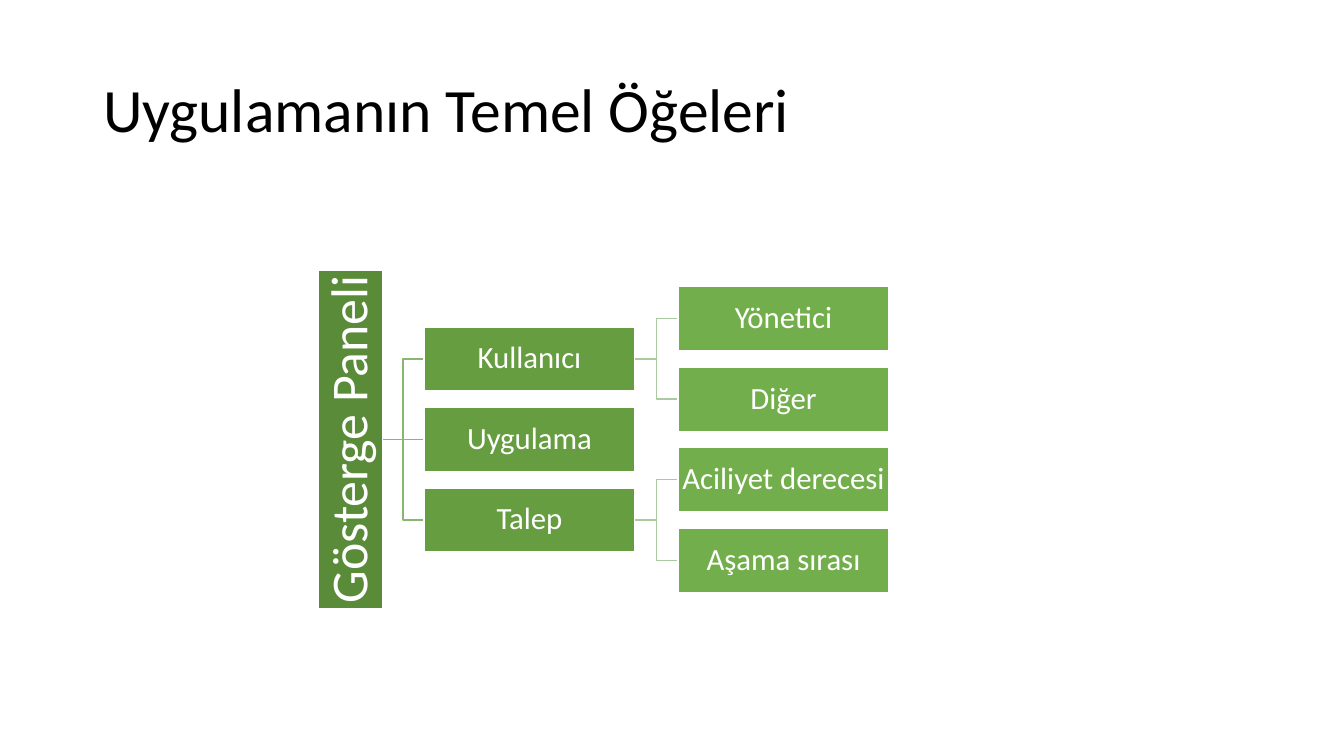
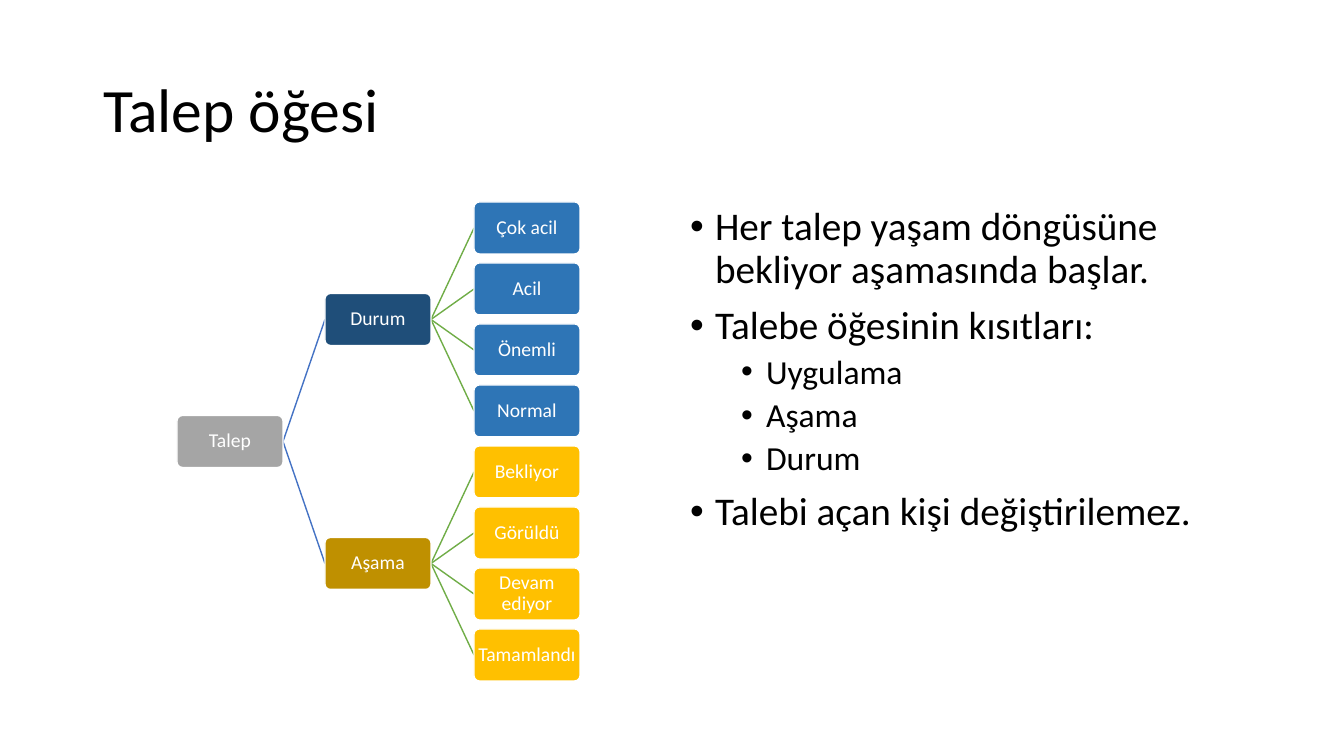
from pptx import Presentation
from pptx.dml.color import RGBColor as RGB
from pptx.enum.shapes import MSO_SHAPE as Form, MSO_CONNECTOR as Wire
from pptx.enum.text import PP_ALIGN as Align, MSO_ANCHOR as Anchor, MSO_AUTO_SIZE as Fit
from pptx.oxml.ns import qn
from pptx.util import Pt
from lxml import etree

PX = 914400 / 100.8
FONT = "Calibri"
BLACK, WHITE = RGB(0, 0, 0), RGB(0xFF, 0xFF, 0xFF)
PINE, LEAF, LIME = RGB(0x5A, 0x8B, 0x39), RGB(0x66, 0x9D, 0x40), RGB(0x73, 0xAE, 0x4C)
MOSS, MINT = RGB(0x88, 0xB7, 0x6F), RGB(0xAC, 0xCA, 0x9F)
GRAY, NAVY, BLUE = RGB(0xA5, 0xA5, 0xA5), RGB(0x1F, 0x4E, 0x79), RGB(0x2E, 0x75, 0xB6)
OCHRE, GOLD = RGB(0xBF, 0x90, 0x00), RGB(0xFF, 0xC0, 0x00)
INDIGO, GRASS = RGB(0x44, 0x72, 0xC4), RGB(0x70, 0xAD, 0x47)


def box(slide, form, x, mid, w, h, fill, text, size, pad):
    """Add a filled node centred on the height mid."""
    node = slide.shapes.add_shape(form, *[round(v * PX) for v in (x, mid - h / 2, w, h)])
    node.shadow.inherit = False
    node.fill.solid()
    node.fill.fore_color.rgb = fill
    node.line.color.rgb = WHITE
    node.line.width = Pt(1)
    frame = node.text_frame
    frame.word_wrap = True
    frame.vertical_anchor = Anchor.MIDDLE
    frame.margin_left = frame.margin_right = round(pad * PX)
    frame.margin_top = frame.margin_bottom = round(pad * PX)
    para = frame.paragraphs[0]
    para.alignment = Align.CENTER
    para.line_spacing = 0.9
    run = para.add_run()
    run.text = text
    run.font.name, run.font.size = FONT, Pt(size)
    run.font.color.rgb = WHITE
    return node


def link(slide, wire, x1, y1, x2, y2, color):
    """Join two nodes with a thin line."""
    line = slide.shapes.add_connector(wire, *[round(v * PX) for v in (x1, y1, x2, y2)])
    line.line.color.rgb = color
    line.line.width = Pt(1)
    etree.SubElement(line._element.spPr, qn("a:effectLst"))


deck = Presentation()
deck.slide_width, deck.slide_height = round(1344 * PX), round(756 * PX)

# Slides and their shared title style
panel = deck.slides.add_slide(deck.slide_layouts[5])
ticket = deck.slides.add_slide(deck.slide_layouts[1])
for slide, text in ((panel, "Uygulamanın Temel Öğeleri"), (ticket, "Talep öğesi")):
    title = slide.shapes.title
    title.left, title.top, title.width, title.height = [round(v * PX) for v in (93, 40, 1159, 146)]
    frame = title.text_frame
    frame.auto_size = Fit.NONE
    frame.vertical_anchor = Anchor.MIDDLE
    para = frame.paragraphs[0]
    para.alignment = Align.LEFT
    para.line_spacing = 0.9
    run = para.add_run()
    run.text = text
    run.font.name, run.font.size = FONT, Pt(44)
    run.font.color.rgb = BLACK

# Panel tree: rows are counted in half steps from the middle
MID, STEP, WIDE, HIGH = 439.5, 40.25, 211, 64
ROOT, COL, END = 382, 424, 678
tree = [
    ("Kullanıcı", -2, [("Yönetici", -3), ("Diğer", -1)]),
    ("Uygulama", 0, []),
    ("Talep", 2, [("Aciliyet derecesi", 1), ("Aşama sırası", 3)]),
]
for name, row, kids in tree:
    y = MID + row * STEP
    link(panel, Wire.ELBOW if row else Wire.STRAIGHT, ROOT, MID, COL, y, MOSS)
    box(panel, Form.RECTANGLE, COL, y, WIDE, HIGH, LEAF, name, 22, 2)
    for kid, spot in kids:
        low = MID + spot * STEP
        link(panel, Wire.ELBOW, COL + WIDE, y, END, low, MINT)
        box(panel, Form.RECTANGLE, END, low, WIDE, HIGH, LIME, kid, 22, 2)
root = box(panel, Form.RECTANGLE, 181, MID, 339, HIGH, PINE, "Gösterge Paneli", 37, 3)
root.rotation = 270

# Ticket tree: each parent sits at the middle of its children
TOP, GAP, WIDE, HIGH = 228, 61, 106, 52
ROOT, COL, END = 177, 325, 474
groups = [
    ("Durum", NAVY, BLUE, ["Çok acil", "Acil", "Önemli", "Normal"]),
    ("Aşama", OCHRE, GOLD, ["Bekliyor", "Görüldü", "Devam ediyor", "Tamamlandı"]),
]
mid = TOP + 3.5 * GAP
nodes = [(ROOT, mid, GRAY, "Talep")]
for i, (name, dark, tint, kids) in enumerate(groups):
    first = TOP + i * 4 * GAP
    y = first + 1.5 * GAP
    link(ticket, Wire.STRAIGHT, ROOT + WIDE, mid, COL, y, INDIGO)
    nodes.append((COL, y, dark, name))
    for j, kid in enumerate(kids):
        low = first + j * GAP
        link(ticket, Wire.STRAIGHT, COL + WIDE, y, END, low, GRASS)
        nodes.append((END, low, tint, kid))
for x, y, fill, name in nodes:
    node = box(ticket, Form.ROUNDED_RECTANGLE, x, y, WIDE, HIGH, fill, name, 14, 1)
    node.adjustments[0] = 0.1

# Ticket list
body = ticket.placeholders[1]
body.left, body.top, body.width, body.height = [round(v * PX) for v in (680, 202, 572, 480)]
frame = body.text_frame
frame.auto_size = Fit.NONE
items = [
    (0, "Her talep yaşam döngüsüne bekliyor aşamasında başlar."),
    (0, "Talebe öğesinin kısıtları:"),
    (1, "Uygulama"),
    (1, "Aşama"),
    (1, "Durum"),
    (0, "Talebi açan kişi değiştirilemez."),
]
for i, (level, text) in enumerate(items):
    para = frame.add_paragraph() if i else frame.paragraphs[0]
    para.level = level
    para.line_spacing = 0.9
    para.space_before = Pt(5 if level else 10)
    props = para._p.get_or_add_pPr()
    props.set("marL", str(round((76 if level else 25) * PX)))
    props.set("indent", str(round(-25 * PX)))
    etree.SubElement(props, qn("a:buFont")).set("typeface", "Arial")
    etree.SubElement(props, qn("a:buChar")).set("char", "•")
    run = para.add_run()
    run.text = text
    run.font.name, run.font.size = FONT, Pt(24 if level else 28)
    run.font.color.rgb = BLACK

deck.save("out.pptx")
